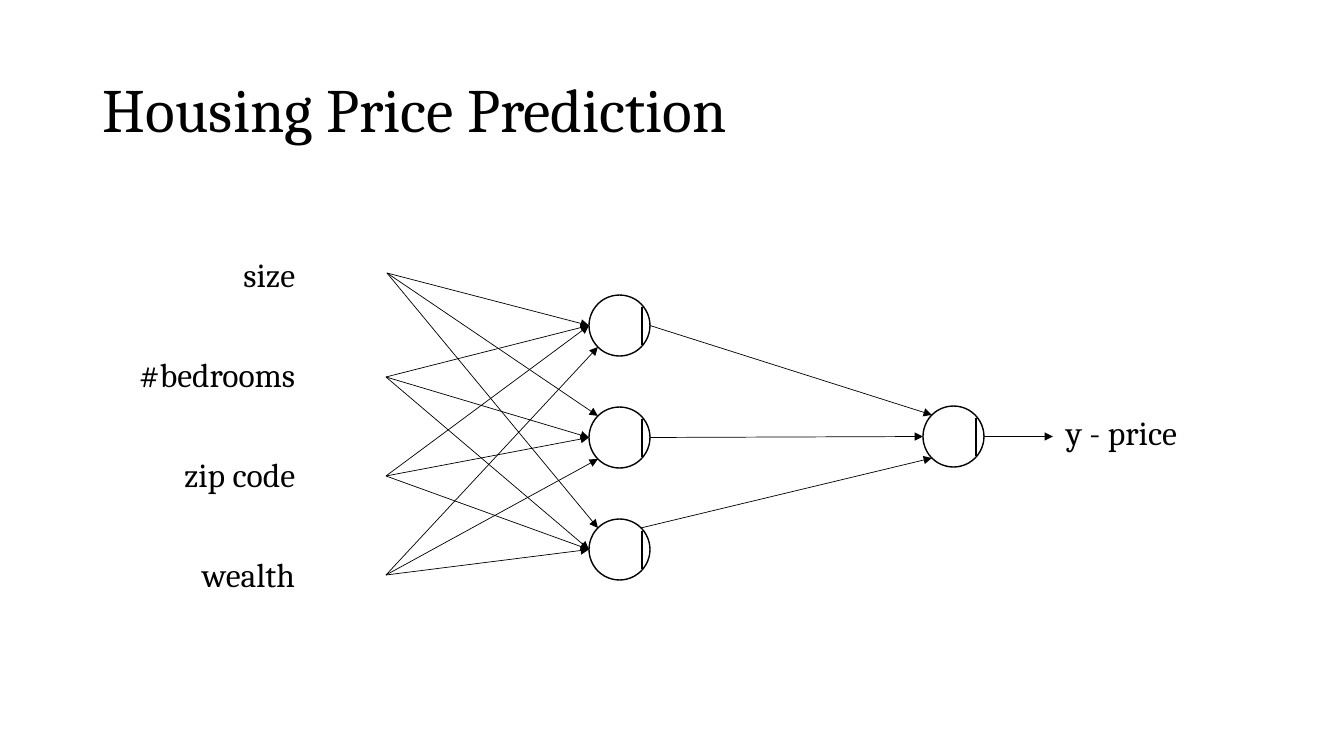
from math import sqrt

from lxml import etree
from pptx import Presentation
from pptx.dml.color import RGBColor
from pptx.enum.shapes import MSO_CONNECTOR, MSO_SHAPE
from pptx.enum.text import MSO_ANCHOR, MSO_AUTO_SIZE, PP_ALIGN
from pptx.oxml.ns import qn
from pptx.util import Emu, Pt

LEFT, RIGHT = PP_ALIGN.LEFT, PP_ALIGN.RIGHT
TOP, MIDDLE = MSO_ANCHOR.TOP, MSO_ANCHOR.MIDDLE
NO_FIT, GROW = MSO_AUTO_SIZE.NONE, MSO_AUTO_SIZE.SHAPE_TO_FIT_TEXT
STRAIGHT, OVAL = MSO_CONNECTOR.STRAIGHT, MSO_SHAPE.OVAL

# Content
TITLE = "Housing Price Prediction"
OUTPUT = "y - price"
# Each input: label, label width, arrow start, port entered on each hidden node
INPUTS = [
    ("size", 113, (387, 273), ("left", "top_left", "top_left")),
    ("#bedrooms", 201, (386, 377), ("left", "left", "left")),
    ("zip code", 171, (386, 476), ("left", "left", "left")),
    ("wealth", 197, (386, 575), ("bottom_left", "bottom_left", "left")),
]
# Each hidden node: port left, port entered on the output node
HIDDEN_LINKS = [("right", "top_left"), ("right", "left"),
                ("top_right", "bottom_left")]

# Style and layout, lengths in px
COLORS = {"ink": "000000"}
FONT = "Cambria"
PX = 12192000 / 1344
NODE = 61
HIDDEN = [(589, 295 + 112 * i) for i in range(3)]
OUT_NODE = (923, 406)
LABEL_RIGHT, LABEL_TOP, LABEL_STEP, LABEL_H = 305, 249, 100, 50
DIAGONAL = 1 / sqrt(2)
PORTS = {
    "left": (-1, 0), "right": (1, 0),
    "top_left": (-DIAGONAL, -DIAGONAL), "top_right": (DIAGONAL, -DIAGONAL),
    "bottom_left": (-DIAGONAL, DIAGONAL),
}


def emu(px):
    return Emu(round(px * PX))


def ink():
    return RGBColor.from_string(COLORS["ink"])


def port(node, name):
    """Point on the rim of a node."""
    return tuple(corner + NODE / 2 * (1 + d)
                 for corner, d in zip(node, PORTS[name]))


def add_text(slide, box, text, size=24, align=LEFT, anchor=TOP, fit=GROW,
             spacing=1.0):
    tf = slide.shapes.add_textbox(*map(emu, box)).text_frame
    tf.word_wrap = True
    tf.auto_size = fit
    tf.vertical_anchor = anchor
    p = tf.paragraphs[0]
    p.alignment = align
    p.line_spacing = spacing
    r = p.add_run()
    r.text = text
    r.font.name = FONT
    r.font.size = Pt(size)
    r.font.color.rgb = ink()


def add_line(slide, start, end, width=0.5, arrow=True):
    line = slide.shapes.add_connector(STRAIGHT, *map(emu, (*start, *end)))
    line.line.color.rgb = ink()
    line.line.width = Pt(width)
    if arrow:
        etree.SubElement(line.line._get_or_add_ln(), qn("a:tailEnd"),
                         type="triangle")
    etree.SubElement(line._element.spPr, qn("a:effectLst"))


def add_node(slide, node):
    sp = slide.shapes.add_shape(OVAL, *map(emu, (*node, NODE, NODE)))
    sp.shadow.inherit = False
    sp.fill.background()
    sp.line.color.rgb = ink()
    sp.line.width = Pt(1)
    # Upright bar inside the node
    x, y = node
    add_line(slide, (x + 53, y + 50), (x + 53, y + 12), width=1, arrow=False)


def main():
    prs = Presentation()
    prs.slide_width, prs.slide_height = emu(1344), emu(756)
    slide = prs.slides.add_slide(prs.slide_layouts[6])

    # Title
    add_text(slide, (93, 40, 1159, 146), TITLE, size=44, anchor=MIDDLE,
             fit=NO_FIT, spacing=0.9)

    # Nodes
    for node in HIDDEN + [OUT_NODE]:
        add_node(slide, node)

    # Inputs and their arrows to the hidden layer
    for i, (label, width, start, entries) in enumerate(INPUTS):
        box = (LABEL_RIGHT - width, LABEL_TOP + LABEL_STEP * i, width, LABEL_H)
        add_text(slide, box, label, align=RIGHT)
        for node, entry in zip(HIDDEN, entries):
            add_line(slide, start, port(node, entry))

    # Hidden layer to output node
    for node, (leave, entry) in zip(HIDDEN, HIDDEN_LINKS):
        add_line(slide, port(node, leave), port(OUT_NODE, entry))

    # Output
    x, y = port(OUT_NODE, "right")
    add_line(slide, (x, y), (1053, y))
    add_text(slide, (1056, 407, 167, LABEL_H), OUTPUT)

    prs.save("out.pptx")


if __name__ == "__main__":
    main()
